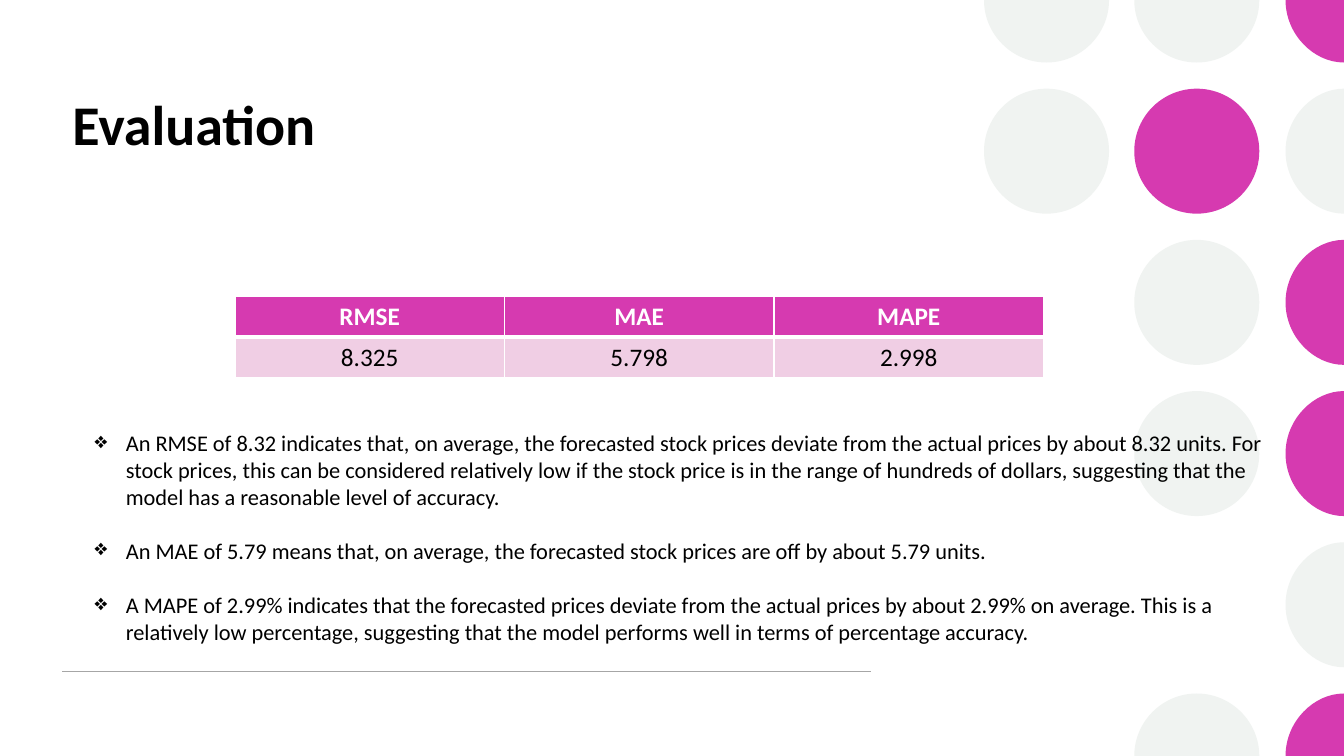
from lxml.etree import SubElement
from pptx import Presentation
from pptx.dml.color import RGBColor
from pptx.enum.shapes import MSO_CONNECTOR, MSO_SHAPE
from pptx.enum.text import MSO_ANCHOR, PP_ALIGN
from pptx.oxml.ns import qn
from pptx.util import Inches, Pt

WIDE, HIGH = 13.33, 7.5
HUES = {"pink": "D63AB0", "pale": "F0CEE4", "mist": "F0F3F1",
        "line": "A6A6A6", "ink": "000000", "white": "FFFFFF"}

# Dot pattern: one string per row, one letter per column
DOTS = ["mmp", "mpm", " mp", " mp", "  m", " mp"]
COLS = [10.38, 11.87, 13.37]
STEP, RAD = 1.5, 0.62
BEND = 0.55  # handle length of a quarter circle, per unit of radius

HEADS = ["RMSE", "MAE", "MAPE"]
SCORES = ["8.325", "5.798", "2.998"]
NOTES = [
    "An RMSE of 8.32 indicates that, on average, the forecasted stock prices "
    "deviate from the actual prices by about 8.32 units. For stock prices, this "
    "can be considered relatively low if the stock price is in the range of "
    "hundreds of dollars, suggesting that the model has a reasonable level of "
    "accuracy.",
    "An MAE of 5.79 means that, on average, the forecasted stock prices are off "
    "by about 5.79 units.",
    "A MAPE of 2.99% indicates that the forecasted prices deviate from the actual "
    "prices by about 2.99% on average. This is a relatively low percentage, "
    "suggesting that the model performs well in terms of percentage accuracy.",
]


def hue(name):
    return RGBColor.from_string(HUES[name])


class Deck:
    def __init__(self, slide):
        self.shapes = slide.shapes
        self.face = "Calibri"

    def style(self, para, color, **form):
        for key, value in {"name": self.face, **form}.items():
            setattr(para.font, key, value)
        para.font.color.rgb = hue(color)

    def arc(self, x, y):
        """Build a circle of four curves, held inside the slide."""
        def spot(u, v):
            return (Inches(min(x + RAD * u, WIDE)),
                    Inches(min(max(y + RAD * v, 0), HIGH)))

        rim = []
        for u, v in [(1, 0), (0, 1), (-1, 0), (0, -1)]:
            rim += [spot(u - BEND * v, v + BEND * u),
                    spot(BEND * u - v, BEND * v + u), spot(-v, u)]
        form = self.shapes.build_freeform(*spot(1, 0))
        form.add_line_segments(rim, close=True)
        shape = form.convert_to_shape()
        # Join each three line ends into one curve
        lines = list(shape._element.iter(qn("a:lnTo")))
        for i in range(0, len(lines), 3):
            first, *rest = lines[i:i + 3]
            for line in rest:
                first.append(line[0])
                line.getparent().remove(line)
            first.tag = qn("a:cubicBezTo")
        return shape

    def dot(self, x, y, color):
        if RAD <= x <= WIDE - RAD and RAD <= y <= HIGH - RAD:
            shape = self.shapes.add_shape(
                MSO_SHAPE.OVAL, Inches(x - RAD), Inches(y - RAD),
                Inches(2 * RAD), Inches(2 * RAD))
        else:
            shape = self.arc(x, y)
        shape.shadow.inherit = False
        shape.fill.solid()
        shape.fill.fore_color.rgb = hue(color)
        shape.line.fill.background()

    def rule(self, x, y, end):
        line = self.shapes.add_connector(
            MSO_CONNECTOR.STRAIGHT, Inches(x), Inches(y), Inches(end), Inches(y))
        line.line.color.rgb = hue("line")
        line.line.width = Pt(1)
        SubElement(line._element.spPr, qn("a:effectLst"))

    def text(self, box, items, size, bold=False, mark=None, gap=0):
        frame = self.shapes.add_textbox(*map(Inches, box)).text_frame
        frame.word_wrap = True
        frame.vertical_anchor = MSO_ANCHOR.TOP
        for i, item in enumerate(items):
            para = frame.add_paragraph() if i else frame.paragraphs[0]
            para.text = item
            if i:
                para.space_before = Pt(gap)
            if mark:
                props = para._p.get_or_add_pPr()
                props.set("marL", str(Inches(0.31)))
                props.set("indent", str(-Inches(0.31)))
                SubElement(props, qn("a:buChar"), char=mark)
            self.style(para, "ink", size=Pt(size), bold=bold)

    def edge(self, cell, side, width):
        line = SubElement(cell._tc.get_or_add_tcPr(), qn("a:ln" + side),
                          w=str(Pt(width)))
        fill = SubElement(line, qn("a:solidFill"))
        SubElement(fill, qn("a:srgbClr"), val=HUES["white"])

    def table(self, box, rows):
        grid = self.shapes.add_table(len(rows), len(rows[0]),
                                     *map(Inches, box)).table
        looks = [("pink", "white", True, {"L": 1, "R": 1, "T": 1, "B": 3}),
                 ("pale", "ink", False, {"L": 1, "R": 1, "T": 3, "B": 1})]
        for r, (row, look) in enumerate(zip(rows, looks)):
            back, color, bold, edges = look
            for c, word in enumerate(row):
                cell = grid.cell(r, c)
                for side, width in edges.items():
                    self.edge(cell, side, width)
                cell.fill.solid()
                cell.fill.fore_color.rgb = hue(back)
                para = cell.text_frame.paragraphs[0]
                para.text = word
                para.alignment = PP_ALIGN.CENTER
                self.style(para, color, size=Pt(18), bold=bold)


def main():
    show = Presentation()
    show.slide_width, show.slide_height = Inches(WIDE), Inches(HIGH)
    deck = Deck(show.slides.add_slide(show.slide_layouts[6]))

    # Dots and rule
    names = {"m": "mist", "p": "pink"}
    for r, row in enumerate(DOTS):
        for x, key in zip(COLS, row):
            if key in names:
                deck.dot(x, r * STEP, names[key])
    deck.rule(0.62, 6.66, 8.64)

    # Title, scores and notes
    deck.text((0.62, 0.84, 8.02, 1.39), ["Evaluation"], 40, bold=True)
    deck.table((2.33, 2.94, 8.02, 0.81), [HEADS, SCORES])
    deck.text((0.84, 4.21, 11.89, 2.52), NOTES, 16, mark="❖", gap=19.5)

    show.save("out.pptx")


if __name__ == "__main__":
    main()
